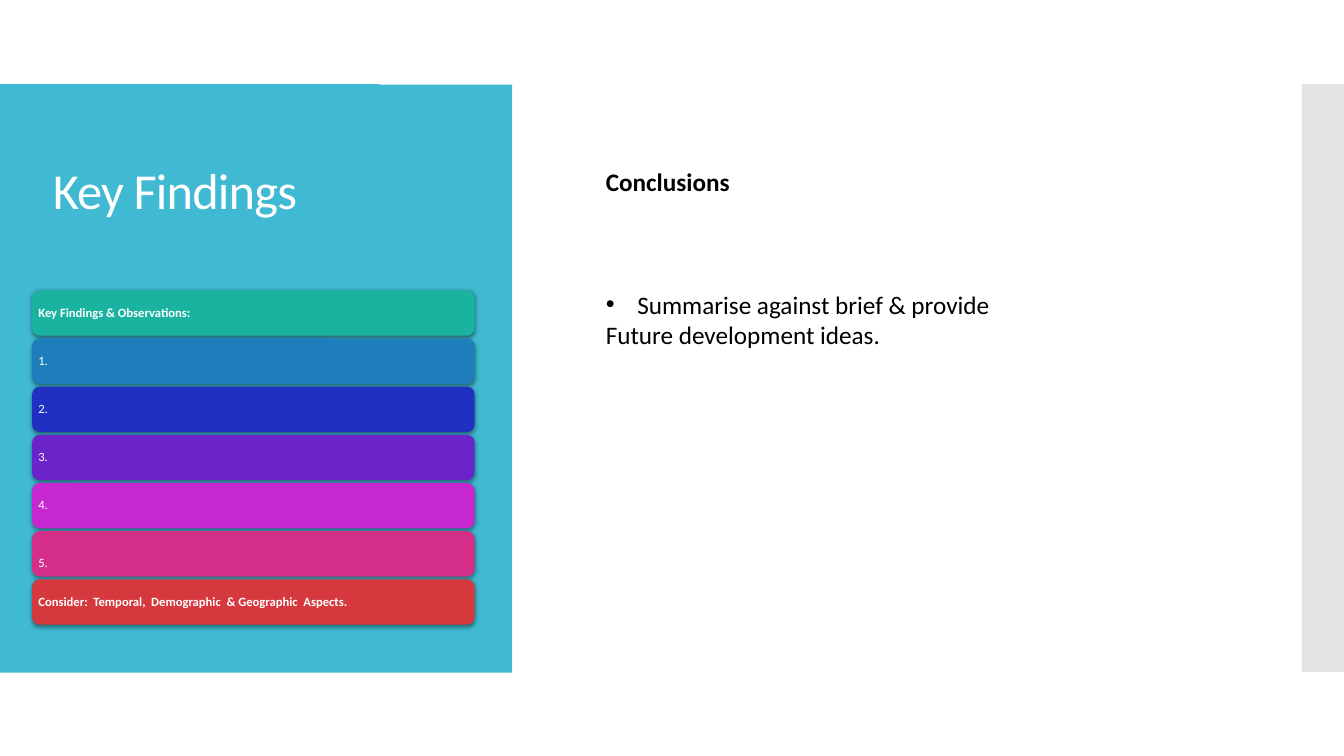
from lxml.etree import SubElement
from pptx import Presentation
from pptx.dml.color import RGBColor
from pptx.enum.shapes import MSO_SHAPE
from pptx.enum.text import MSO_ANCHOR, MSO_AUTO_SIZE, PP_ALIGN
from pptx.oxml.ns import qn
from pptx.util import Pt

FONT = "Calibri"
WHITE = RGBColor(0xFF, 0xFF, 0xFF)
BLACK = RGBColor(0x00, 0x00, 0x00)
TURQUOISE = RGBColor(0x40, 0xBA, 0xD2)
GREY = RGBColor(0xC8, 0xC8, 0xC8)

TITLE = "Key Findings"
# text, fill, bold, extra space above the text
FINDINGS = [
    ("Key Findings & Observations:", RGBColor(0x1A, 0xB3, 0x9F), True, 0),
    ("1.", RGBColor(0x1D, 0x7E, 0xBB), False, 0),
    ("2.", RGBColor(0x20, 0x30, 0xC2), False, 0),
    ("3.", RGBColor(0x6A, 0x24, 0xCA), False, 0),
    ("4.", RGBColor(0xC7, 0x27, 0xD1), False, 0),
    ("5.", RGBColor(0xD5, 0x2E, 0x89), False, 13),
    ("Consider:  Temporal,  Demographic  & Geographic  Aspects.",
     RGBColor(0xD5, 0x39, 0x3D), True, 0),
]
# text, bold, bulleted, space before
CONCLUSIONS = [
    ("Conclusions", True, False, 0),
    ("Summarise against brief & provide", False, True, 66),
    ("Future development ideas.", False, False, 0),
]
# left, top, width, height, fill, opacity in percent
PANELS = [
    (0, 60, 271.2, 420, TURQUOISE, 100),
    (930, 60, 30, 420, GREY, 50),
    (0, 60.5, 365.8, 420, TURQUOISE, 100),
]
COLUMN_LEFT, COLUMN_WIDTH = 23, 316
BAR_TOP, BAR_HEIGHT, BAR_PITCH = 207.4, 32.4, 34.4
BULLET_INDENT = 22.5


def place(shape, left, top, width, height):
    """Move and size a shape in points."""
    shape.left, shape.top = Pt(left), Pt(top)
    shape.width, shape.height = Pt(width), Pt(height)


def set_margins(text_frame, left, top, right, bottom):
    """Set the four text insets in points."""
    text_frame.margin_left, text_frame.margin_top = Pt(left), Pt(top)
    text_frame.margin_right, text_frame.margin_bottom = Pt(right), Pt(bottom)


def format_paragraph(paragraph, size, color, bold=False, line_spacing=0.9):
    """Left-align a paragraph and style its runs."""
    paragraph.alignment = PP_ALIGN.LEFT
    paragraph.line_spacing = line_spacing
    for run in paragraph.runs:
        run.font.name = FONT
        run.font.size = Pt(size)
        run.font.bold = bold
        run.font.color.rgb = color


def set_opacity(shape, percent):
    """Make a solid fill partly transparent."""
    color = shape.fill._xPr.find(qn("a:solidFill"))[0]
    SubElement(color, qn("a:alpha"), val=str(percent * 1000))


def add_block(slide, preset, left, top, width, height, fill):
    """Add a filled preset shape without line or shadow."""
    shape = slide.shapes.add_shape(
        preset, Pt(left), Pt(top), Pt(width), Pt(height))
    shape.fill.solid()
    shape.fill.fore_color.rgb = fill
    shape.line.fill.background()
    shape.shadow.inherit = False
    return shape


def add_soft_shadow(shape):
    """Give a shape a soft black shadow just below it."""
    effects = shape._element.spPr.find(qn("a:effectLst"))
    shadow = SubElement(effects, qn("a:outerShdw"), blurRad=str(Pt(3.5)),
                        dist=str(Pt(1.1)), dir="5400000", rotWithShape="0")
    color = SubElement(shadow, qn("a:srgbClr"), val=str(BLACK))
    SubElement(color, qn("a:alpha"), val="45000")


def set_bullet(paragraph, bulleted):
    """Turn the bullet and its hanging indent on or off."""
    indent = Pt(BULLET_INDENT) if bulleted else 0
    properties = paragraph._p.get_or_add_pPr()
    properties.set("marL", str(indent))
    properties.set("indent", str(-indent))
    if bulleted:
        SubElement(properties, qn("a:buFont"), typeface="Arial")
        SubElement(properties, qn("a:buChar"), char="•")
    else:
        SubElement(properties, qn("a:buNone"))


def add_panels(slide):
    """Add the background panels behind the placeholders."""
    for position, (*box, fill, opacity) in enumerate(PANELS):
        panel = add_block(slide, MSO_SHAPE.RECTANGLE, *box, fill)
        if opacity < 100:
            set_opacity(panel, opacity)
        slide.shapes._spTree.insert(2 + position, panel._element)


def fill_title(title):
    """Place and format the slide title."""
    place(title, COLUMN_LEFT, 88.6, COLUMN_WIDTH, 98.6)
    frame = title.text_frame
    frame.text = TITLE
    frame.auto_size = MSO_AUTO_SIZE.NONE
    frame.vertical_anchor = MSO_ANCHOR.MIDDLE
    set_margins(frame, 14.7, 3.6, 7.2, 3.6)
    format_paragraph(frame.paragraphs[0], 36, WHITE)
    for run in frame.paragraphs[0].runs:
        run.font._element.set("spc", "-60")


def add_findings(slide):
    """Stack one coloured bar per finding at an equal pitch."""
    for row, (text, fill, bold, extra_top) in enumerate(FINDINGS):
        bar = add_block(slide, MSO_SHAPE.ROUNDED_RECTANGLE, COLUMN_LEFT,
                        BAR_TOP + row * BAR_PITCH, COLUMN_WIDTH, BAR_HEIGHT, fill)
        add_soft_shadow(bar)
        frame = bar.text_frame
        frame.text = text
        frame.word_wrap = True
        frame.vertical_anchor = MSO_ANCHOR.MIDDLE
        set_margins(frame, 2.9, 2.9 + extra_top, 2.9, 2.9)
        format_paragraph(frame.paragraphs[0], 9, WHITE, bold)


def fill_conclusions(body):
    """Place the body placeholder and write the conclusions."""
    place(body, 425.5, 115.2, 484.6, 159.8)
    frame = body.text_frame
    frame.text = "\n".join(text for text, *_ in CONCLUSIONS)
    frame.auto_size = MSO_AUTO_SIZE.NONE
    frame.vertical_anchor = MSO_ANCHOR.TOP
    for paragraph, (_, bold, bulleted, before) in zip(frame.paragraphs, CONCLUSIONS):
        format_paragraph(paragraph, 18, BLACK, bold, 1.0)
        paragraph.space_before = Pt(before)
        paragraph.space_after = Pt(0)
        set_bullet(paragraph, bulleted)


presentation = Presentation()
presentation.slide_width, presentation.slide_height = Pt(960), Pt(540)
slide = presentation.slides.add_slide(presentation.slide_layouts[1])
add_panels(slide)
fill_title(slide.shapes.title)
add_findings(slide)
fill_conclusions(slide.placeholders[1])
presentation.save("out.pptx")
